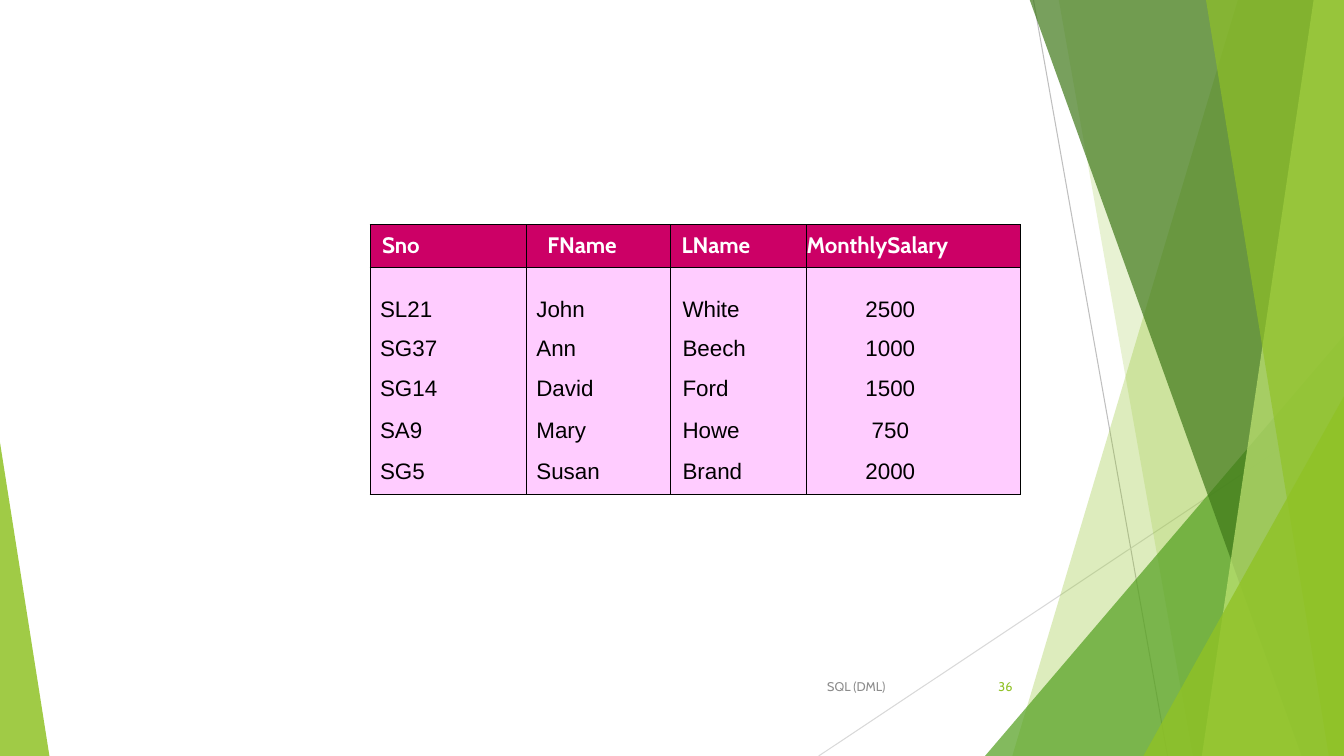
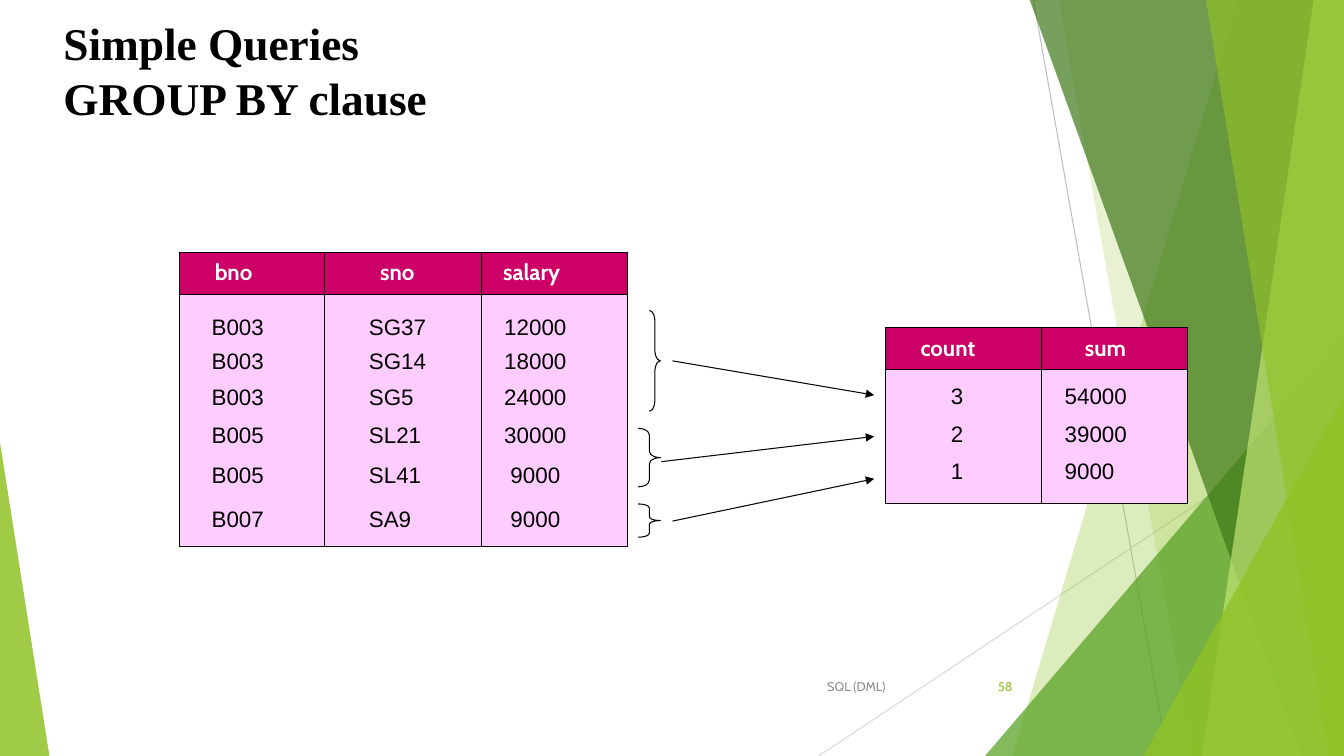
"""Build two slides on SQL queries with salary tables."""
from dataclasses import dataclass

from lxml.etree import SubElement
from pptx import Presentation
from pptx.dml.color import RGBColor
from pptx.enum.shapes import MSO_CONNECTOR, MSO_SHAPE
from pptx.enum.text import MSO_ANCHOR, PP_ALIGN
from pptx.oxml.ns import qn
from pptx.shapes.autoshape import Shape
from pptx.slide import Slide
from pptx.table import _Cell
from pptx.text.text import _Paragraph
from pptx.util import Inches, Pt

COLORS = {
    "black": "000000", "white": "FFFFFF", "gray": "8C8C8C",
    "rule": "BFBFBF", "pale": "D9D9D9", "lime": "90C226",
    "leaf": "54A021", "moss": "3F7819", "mint": "C0E474",
    "head": "CC0066", "body": "FFCCFF",
}
WIDE, HIGH, TOP = 13.33, 7.5, -0.01
HEAD = 0.42
THIN = Pt(0.75)

Point = tuple[float, float]


@dataclass(frozen=True)
class Line:
    start: Point
    end: Point
    color: str = "black"
    arrow: bool = False


@dataclass(frozen=True)
class Facet:
    points: tuple[Point, ...]
    color: str
    alpha: int


@dataclass(frozen=True)
class Peak:
    left: float
    top: float
    width: float
    tip: float
    color: str
    alpha: int


@dataclass(frozen=True)
class Brace:
    left: float
    top: float
    width: float
    height: float
    bend: float


@dataclass(frozen=True)
class Column:
    name: str
    width: float
    inset: float
    indent: float
    values: tuple[str, ...]
    center: bool = False


@dataclass(frozen=True)
class Grid:
    left: float
    top: float
    lead: float
    heights: tuple[float, ...]
    columns: tuple[Column, ...]


def band(top_left: float, top_right: float, low_left: float,
         low_right: float, color: str, alpha: int) -> Facet:
    points = ((top_left, TOP), (top_right, TOP),
              (low_right, HIGH), (low_left, HIGH))
    return Facet(points, color, alpha)


RULES = (
    Line((10.25, 0), (11.58, HIGH), "rule"),
    Line((WIDE, 4.03), (8.12, HIGH), "pale"),
)
DECOR = (
    band(12.28, WIDE, 10.04, WIDE, "lime", 30),
    band(10.5, WIDE, 11.83, WIDE, "lime", 20),
    Peak(9.77, 3.33, 3.56, 1, "leaf", 72),
    band(10.21, WIDE, 12.91, WIDE, "moss", 70),
    band(13.03, WIDE, 11.92, WIDE, "mint", 70),
    band(11.96, WIDE, 13.18, WIDE, "lime", 65),
    Peak(11.34, 3.93, 1.99, 1, "lime", 80),
    Peak(0, 4.39, 0.49, 0, "lime", 85),
)
STAFF = Grid(3.67, 2.23, 0.3, (0.69, 0.39, 0.42, 0.41, 0.35), (
    Column("Sno", 1.55, 0.12, 0.1,
           ("SL21", "SG37", "SG14", "SA9", "SG5")),
    Column("FName", 1.43, 0.21, 0.1,
           ("John", "Ann", "David", "Mary", "Susan")),
    Column("LName", 1.35, 0.11, 0.12,
           ("White", "Beech", "Ford", "Howe", "Brand")),
    Column("MonthlySalary", 2.12, 0, 0.46,
           ("2500", "1000", "1500", "750", "2000"), True),
))
DETAIL = Grid(1.78, 2.5, 0.21, (0.55, 0.35, 0.38, 0.4, 0.43, 0.39), (
    Column("bno", 1.44, 0.35, 0.32,
           ("B003", "B003", "B003", "B005", "B005", "B007")),
    Column("sno", 1.56, 0.55, 0.44,
           ("SG37", "SG14", "SG5", "SL21", "SL41", "SA9")),
    Column("salary", 1.44, 0.21, 0.38,
           ("12000", "18000", "24000", "30000", "9000", "9000"), True),
))
TOTALS = Grid(8.78, 3.25, 0.14, (0.52, 0.37, 0.44), (
    Column("count", 1.55, 0.35, 0.65, ("3", "2", "1")),
    Column("sum", 1.45, 0.43, 0.23, ("54000", "39000", "9000")),
))
BRACES = (
    Brace(6.44, 3.08, 0.11, 1, 1),
    Brace(6.33, 4.25, 0.22, 0.58, 0.29),
    Brace(6.33, 5, 0.22, 0.33, 0.17),
)
ARROWS = (
    Line((6.67, 3.58), (8.67, 3.92), arrow=True),
    Line((6.56, 4.58), (8.67, 4.33), arrow=True),
    Line((6.67, 5.17), (8.67, 4.75), arrow=True),
)


def tint(name: str) -> RGBColor:
    return RGBColor.from_string(COLORS[name])


def add_run(para: _Paragraph, text: str, size: float, font: str,
            color: str, bold: bool = False) -> None:
    run = para.add_run()
    run.text = text
    run.font.size = Pt(size)
    run.font.name = font
    run.font.bold = bold
    run.font.color.rgb = tint(color)


def add_line(slide: Slide, line: Line) -> None:
    ends = [Inches(n) for n in line.start + line.end]
    link = slide.shapes.add_connector(MSO_CONNECTOR.STRAIGHT, *ends)
    link.line.color.rgb = tint(line.color)
    link.line.width = THIN
    if line.arrow:
        SubElement(link.line._get_or_add_ln(), qn("a:tailEnd"), type="triangle")
    SubElement(link._element.spPr, qn("a:effectLst"))


def paint(shape: Shape, color: str, alpha: int) -> None:
    shape.shadow.inherit = False
    shape.fill.solid()
    shape.fill.fore_color.rgb = tint(color)
    shape.line.fill.background()
    shade = shape._element.spPr.find(qn("a:solidFill"))[0]
    SubElement(shade, qn("a:alpha"), val=str(alpha * 1000))


def add_facet(slide: Slide, facet: Facet) -> None:
    first, *rest = [(Inches(x), Inches(y)) for x, y in facet.points]
    form = slide.shapes.build_freeform(*first)
    form.add_line_segments(rest, close=True)
    paint(form.convert_to_shape(), facet.color, facet.alpha)


def add_peak(slide: Slide, peak: Peak) -> None:
    shape = slide.shapes.add_shape(
        MSO_SHAPE.ISOSCELES_TRIANGLE, Inches(peak.left), Inches(peak.top),
        Inches(peak.width), Inches(HIGH - peak.top))
    shape.adjustments[0] = peak.tip
    paint(shape, peak.color, peak.alpha)


def add_brace(slide: Slide, brace: Brace) -> None:
    shape = slide.shapes.add_shape(
        MSO_SHAPE.RIGHT_BRACE, Inches(brace.left), Inches(brace.top),
        Inches(brace.width), Inches(brace.height))
    shape.adjustments[0] = brace.bend
    shape.shadow.inherit = False
    shape.fill.background()
    shape.line.color.rgb = tint("black")
    shape.line.width = THIN


def add_foot(slide: Slide, left: float, width: float,
             text: str, color: str) -> None:
    box = slide.shapes.add_textbox(
        Inches(left), Inches(6.61), Inches(width), Inches(0.4))
    frame = box.text_frame
    frame.word_wrap = True
    frame.vertical_anchor = MSO_ANCHOR.MIDDLE
    frame.paragraphs[0].alignment = PP_ALIGN.RIGHT
    add_run(frame.paragraphs[0], text, 9, "Cabin", color)


def add_title(slide: Slide, lines: tuple[str, ...]) -> None:
    box = slide.shapes.add_textbox(
        Inches(0.53), Inches(0.1), Inches(11.97), Inches(1.25))
    box.text_frame.word_wrap = True
    para = box.text_frame.paragraphs[0]
    para.line_spacing = Pt(39)
    for i, text in enumerate(lines):
        if i:
            para.add_line_break()
        add_run(para, text, 32.4, "Times New Roman", "black", True)


def set_edges(cell: _Cell, drawn: str) -> None:
    props = cell._tc.get_or_add_tcPr()
    for i, side in enumerate("LRTB"):
        edge = SubElement(props, qn(f"a:ln{side}"), w=str(THIN))
        if side in drawn:
            fill = SubElement(edge, qn("a:solidFill"))
            SubElement(fill, qn("a:srgbClr"), val=COLORS["black"])
        else:
            SubElement(edge, qn("a:noFill"))
        props.insert(i, edge)


def fill_cell(cell: _Cell, grid: Grid, col: Column, row: int) -> None:
    head = row == 0
    center = col.center and not head
    inset = Inches(col.inset if head else col.indent)
    drop = HEAD / 6 if head else grid.lead if row == 1 else 0
    cell.margin_left = 0 if center else inset
    cell.margin_right = inset if center else 0
    cell.margin_top, cell.margin_bottom = Inches(drop), 0
    cell.vertical_anchor = MSO_ANCHOR.TOP
    cell.fill.solid()
    cell.fill.fore_color.rgb = tint("head" if head else "body")
    para = cell.text_frame.paragraphs[0]
    para.alignment = PP_ALIGN.CENTER if center else PP_ALIGN.LEFT
    if head:
        add_run(para, col.name, 16, "Cabin", "white", True)
    else:
        add_run(para, col.values[row - 1], 16, "Arial", "black")
    top = "T" if row < 2 else ""
    low = "B" if row in (0, len(grid.heights)) else ""
    set_edges(cell, "LR" + top + low)


def add_grid(slide: Slide, grid: Grid) -> None:
    heights = (HEAD, *grid.heights)
    width = sum(col.width for col in grid.columns)
    table = slide.shapes.add_table(
        len(heights), len(grid.columns), Inches(grid.left), Inches(grid.top),
        Inches(width), Inches(sum(heights))).table
    table.first_row = table.horz_banding = False
    for i, height in enumerate(heights):
        table.rows[i].height = Inches(height)
    for j, col in enumerate(grid.columns):
        table.columns[j].width = Inches(col.width)
        for i in range(len(heights)):
            fill_cell(table.cell(i, j), grid, col, i)


def add_slide(deck: Presentation, number: str) -> Slide:
    slide = deck.slides.add_slide(deck.slide_layouts[6])
    for rule in RULES:
        add_line(slide, rule)
    for part in DECOR:
        if isinstance(part, Peak):
            add_peak(slide, part)
        else:
            add_facet(slide, part)
    add_foot(slide, 7.88, 1, "SQL (DML)", "gray")
    add_foot(slide, 9.39, 0.75, number, "lime")
    return slide


def main() -> None:
    deck = Presentation()
    deck.slide_width, deck.slide_height = Inches(WIDE), Inches(HIGH)
    add_grid(add_slide(deck, "36"), STAFF)
    slide = add_slide(deck, "58")
    add_title(slide, ("Simple Queries", "GROUP BY clause"))
    add_grid(slide, DETAIL)
    add_grid(slide, TOTALS)
    for brace in BRACES:
        add_brace(slide, brace)
    for arrow in ARROWS:
        add_line(slide, arrow)
    deck.save("out.pptx")


if __name__ == "__main__":
    main()
